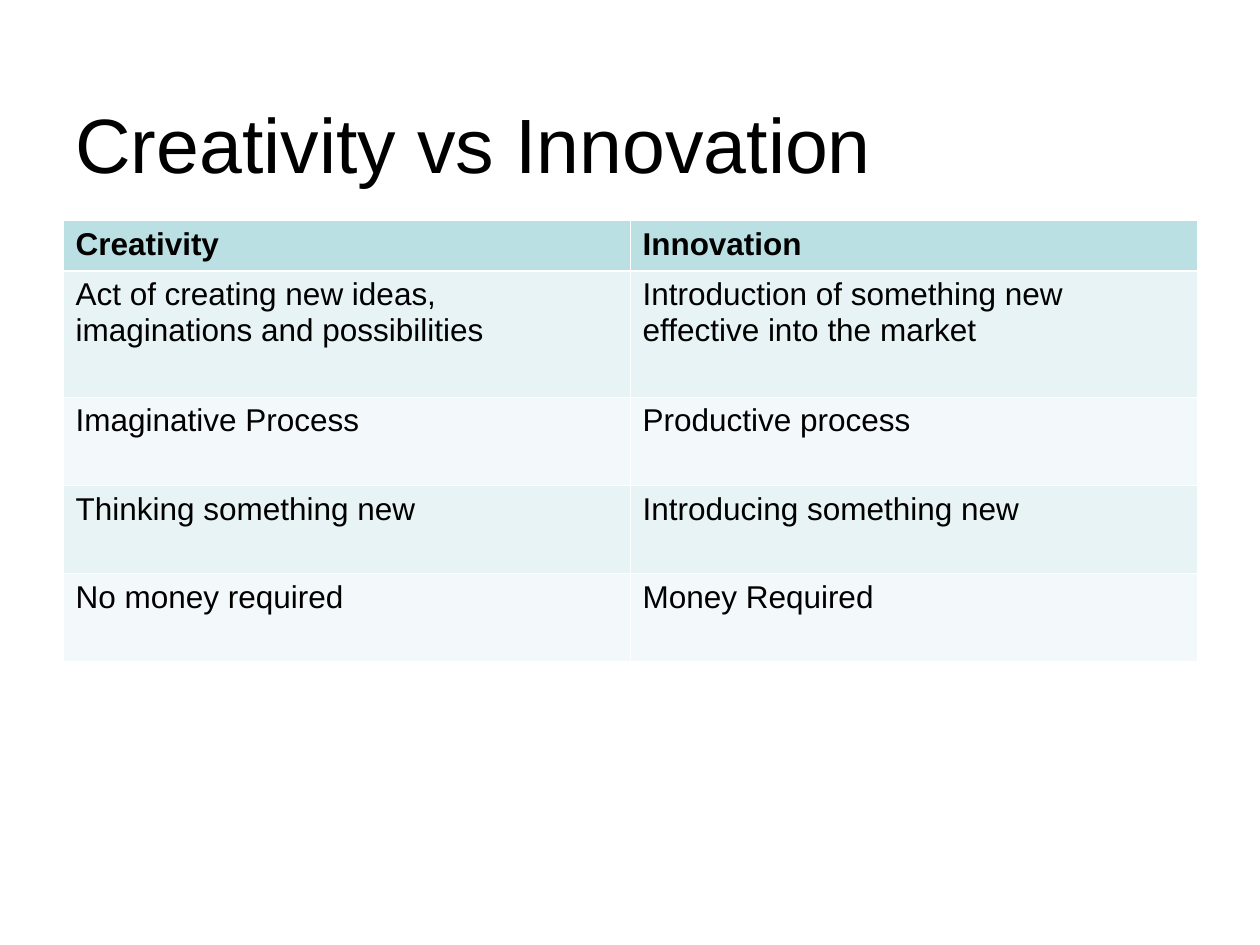
from dataclasses import dataclass

from lxml import etree
from pptx import Presentation
from pptx import util as u
from pptx.dml.color import RGBColor
from pptx.enum import text
from pptx.oxml import ns


@dataclass(frozen=True)
class Theme:
    font: str = "Arial"
    title_size: int = 44
    cell_size: int = 18
    ink: str = "000000"
    border: str = "FFFFFF"
    header: str = "BBE0E3"
    bands: tuple = ("E7F3F4", "F3F9FA")
    thin: float = 0.45
    thick: float = 1.47


THEME = Theme()
ROWS = [
    ("Creativity", "Innovation"),
    ("Act of creating new ideas, imaginations and possibilities",
     "Introduction of something new effective into the market"),
    ("Imaginative Process", "Productive process"),
    ("Thinking something new", "Introducing something new"),
    ("No money required", "Money Required"),
]
ROW_HEIGHTS = (0.4, 1, 0.7, 0.7, 0.7)


def write(tf, content, size, bold=False):
    p = tf.paragraphs[0]
    p.text = content
    p.font.name = THEME.font
    p.font.size = u.Pt(size)
    p.font.bold = bold
    p.font.color.rgb = RGBColor.from_string(THEME.ink)


def add_title(s, content):
    tf = s.shapes.add_textbox(u.Inches(0.5), u.Inches(0.3),
                              u.Inches(9), u.Inches(1.25)).text_frame
    tf.word_wrap = True
    tf.vertical_anchor = text.MSO_ANCHOR.BOTTOM
    write(tf, content, THEME.title_size)


def set_borders(cell, **widths):
    """Draw the cell's L, R, T and B borders, thin unless a width is given."""
    tc_pr = cell._tc.get_or_add_tcPr()
    for side in "LRTB":
        width = u.Pt(widths.get(side, THEME.thin))
        ln = etree.SubElement(tc_pr, ns.qn(f"a:ln{side}"), w=str(int(width)))
        fill = etree.SubElement(ln, ns.qn("a:solidFill"))
        etree.SubElement(fill, ns.qn("a:srgbClr"), val=THEME.border)


def style_cell(cell, row):
    if row == 0:
        set_borders(cell, B=THEME.thick)
        color = THEME.header
    else:
        set_borders(cell, T=THEME.thick if row == 1 else THEME.thin)
        color = THEME.bands[(row - 1) % 2]
    cell.fill.solid()
    cell.fill.fore_color.rgb = RGBColor.from_string(color)


def add_comparison(s):
    table = s.shapes.add_table(len(ROWS), 2, u.Inches(0.5), u.Inches(1.75),
                               u.Inches(9), u.Inches(sum(ROW_HEIGHTS))).table
    for i, (height, contents) in enumerate(zip(ROW_HEIGHTS, ROWS)):
        table.rows[i].height = u.Inches(height)
        for j, content in enumerate(contents):
            cell = table.cell(i, j)
            write(cell.text_frame, content, THEME.cell_size, bold=i == 0)
            style_cell(cell, i)


def main():
    prs = Presentation()
    prs.slide_width, prs.slide_height = u.Inches(10), u.Inches(7.5)
    s = prs.slides.add_slide(prs.slide_layouts[6])
    add_title(s, "Creativity vs Innovation")
    add_comparison(s)
    prs.save("out.pptx")


if __name__ == "__main__":
    main()
